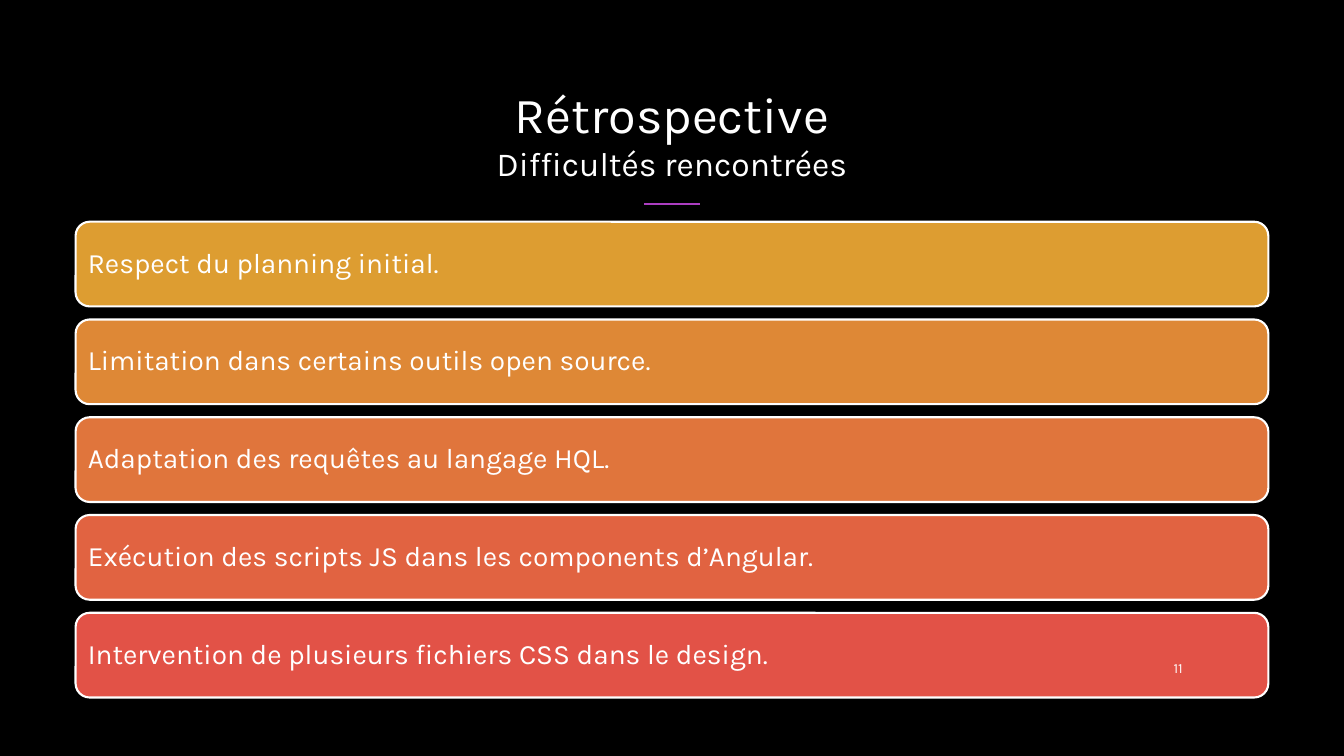
from lxml import etree
from pptx import Presentation
from pptx.dml.color import RGBColor
from pptx.enum.shapes import MSO_CONNECTOR, MSO_SHAPE
from pptx.enum.text import MSO_ANCHOR, MSO_AUTO_SIZE, PP_ALIGN
from pptx.oxml.ns import qn
from pptx.util import Inches, Pt

STRAIGHT = MSO_CONNECTOR.STRAIGHT
ROUNDED = MSO_SHAPE.ROUNDED_RECTANGLE
MIDDLE, BOTTOM = MSO_ANCHOR.MIDDLE, MSO_ANCHOR.BOTTOM
LEFT, CENTER, RIGHT = PP_ALIGN.LEFT, PP_ALIGN.CENTER, PP_ALIGN.RIGHT
NO_AUTOFIT = MSO_AUTO_SIZE.NONE
TITLE_ONLY = 5

FONT = "Karla"
COLORS = {"background": "000000", "text": "FFFFFF", "outline": "FFFFFF", "accent": "AC3EC1"}
DIFFICULTIES = [
    ("Respect du planning initial.", "DD9D31"),
    ("Limitation dans certains outils open source.", "DE8836"),
    ("Adaptation des requêtes au langage HQL.", "E0753C"),
    ("Exécution des scripts JS dans les components d’Angular.", "E16341"),
    ("Intervention de plusieurs fichiers CSS dans le design.", "E25247"),
]
MARGIN, CONTENT_WIDTH = 0.75, 11.83
BAR_TOP, BAR_HEIGHT, BAR_PITCH = 2.2, 0.84, 0.97


def rgb(value):
    return RGBColor.from_string(value)


def write(paragraph, text, size, align=LEFT, line_spacing=1.0):
    """Append a formatted run to the paragraph."""
    paragraph.alignment = align
    paragraph.line_spacing = line_spacing
    run = paragraph.add_run()
    run.text = text
    run.font.name = FONT
    run.font.size = Pt(size)
    run.font.color.rgb = rgb(COLORS["text"])


class RetrospectiveSlide:
    def __init__(self, presentation):
        self.slide = presentation.slides.add_slide(presentation.slide_layouts[TITLE_ONLY])
        fill = self.slide.background.fill
        fill.solid()
        fill.fore_color.rgb = rgb(COLORS["background"])

    def title(self, heading, subheading):
        title = self.slide.shapes.title
        title.left, title.top = Inches(MARGIN), Inches(0.58)
        title.width, title.height = Inches(CONTENT_WIDTH), Inches(1.29)
        frame = title.text_frame
        frame.auto_size = NO_AUTOFIT
        frame.vertical_anchor = BOTTOM
        paragraph = frame.paragraphs[0]
        write(paragraph, heading, 36, align=CENTER)
        paragraph.add_line_break()
        write(paragraph, subheading, 24, align=CENTER)

    def rule(self, start, end, y):
        rule = self.slide.shapes.add_connector(
            STRAIGHT, Inches(start), Inches(y), Inches(end), Inches(y))
        rule.line.color.rgb = rgb(COLORS["accent"])
        rule.line.width = Pt(1.5)
        etree.SubElement(rule._element.spPr, qn("a:effectLst"))

    def bar(self, text, top, color):
        bar = self.slide.shapes.add_shape(
            ROUNDED, Inches(MARGIN), Inches(top), Inches(CONTENT_WIDTH), Inches(BAR_HEIGHT))
        bar.shadow.inherit = False
        bar.fill.solid()
        bar.fill.fore_color.rgb = rgb(color)
        bar.line.color.rgb = rgb(COLORS["outline"])
        bar.line.width = Pt(1.5)
        frame = bar.text_frame
        frame.word_wrap = True
        frame.vertical_anchor = MIDDLE
        frame.margin_left = frame.margin_right = Inches(0.08)
        frame.margin_top = frame.margin_bottom = Inches(0.08)
        write(frame.paragraphs[0], text, 20, line_spacing=0.9)

    def page_number(self, number):
        box = self.slide.shapes.add_textbox(
            Inches(11.23), Inches(6.42), Inches(0.6), Inches(0.41))
        frame = box.text_frame
        frame.word_wrap = True
        frame.vertical_anchor = MIDDLE
        write(frame.paragraphs[0], number, 10, align=RIGHT)


def main():
    presentation = Presentation()
    presentation.slide_width, presentation.slide_height = Inches(13.33), Inches(7.5)
    retrospective = RetrospectiveSlide(presentation)
    retrospective.title("Rétrospective", "Difficultés rencontrées")
    retrospective.rule(6.39, 6.94, 2.02)
    for index, (difficulty, color) in enumerate(DIFFICULTIES):
        retrospective.bar(difficulty, BAR_TOP + index * BAR_PITCH, color)
    retrospective.page_number("11")
    presentation.save("out.pptx")


if __name__ == "__main__":
    main()
